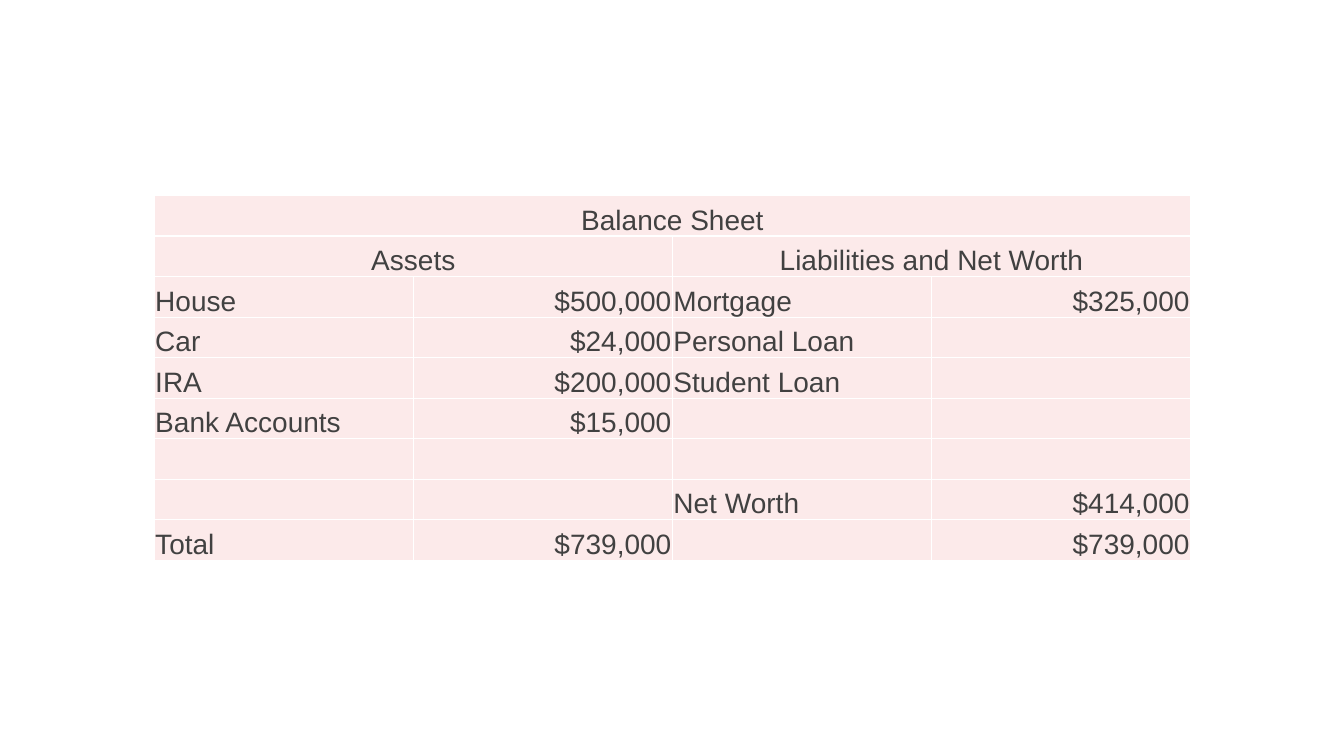
from dataclasses import dataclass

from lxml import etree
from pptx import Presentation
from pptx.dml.color import RGBColor
from pptx.enum import text
from pptx.oxml import ns
from pptx.util import Inches, Pt

# Content: headings as (row, first column, last column, wording)
HEADINGS = [
    (0, 0, 3, "Balance Sheet"),
    (1, 0, 1, "Assets"),
    (1, 2, 3, "Liabilities and Net Worth"),
]
ENTRIES = [
    ("House", "$500,000", "Mortgage", "$325,000"),
    ("Car", "$24,000", "Personal Loan", ""),
    ("IRA", "$200,000", "Student Loan", ""),
    ("Bank Accounts", "$15,000", "", ""),
    ("", "", "", ""),
    ("", "", "Net Worth", "$414,000"),
    ("Total", "$739,000", "", "$739,000"),
]
FIRST_ENTRY_ROW = 2
COLUMN_ALIGNMENTS = [text.PP_ALIGN.LEFT, text.PP_ALIGN.RIGHT] * 2


@dataclass(frozen=True)
class Theme:
    font: str = "Arial"
    size: int = 20
    ink: str = "414141"
    fill: str = "FCEAEA"
    border: str = "FFFFFF"
    border_width: int = 1


THEME = Theme()


def style_cell(cell):
    """Set fill, margins, anchor and borders of one cell."""
    cell.fill.solid()
    cell.fill.fore_color.rgb = RGBColor.from_string(THEME.fill)
    cell.margin_left = cell.margin_right = cell.margin_top = Inches(0.01)
    cell.margin_bottom = 0
    cell.vertical_anchor = text.MSO_ANCHOR.BOTTOM
    properties = cell._tc.get_or_add_tcPr()
    for position, side in enumerate(("lnL", "lnR", "lnT", "lnB")):
        line = etree.Element(ns.qn(f"a:{side}"), w=str(Pt(THEME.border_width)))
        solid = etree.SubElement(line, ns.qn("a:solidFill"))
        etree.SubElement(solid, ns.qn("a:srgbClr"), val=THEME.border)
        properties.insert(position, line)


def write_cell(cell, wording, alignment):
    paragraph = cell.text_frame.paragraphs[0]
    paragraph.alignment = alignment
    run = paragraph.add_run()
    run.text = wording
    run.font.name = THEME.font
    run.font.size = Pt(THEME.size)
    run.font.color.rgb = RGBColor.from_string(THEME.ink)


def add_balance_sheet(slide):
    row_count = FIRST_ENTRY_ROW + len(ENTRIES)
    column_count = len(COLUMN_ALIGNMENTS)
    table = slide.shapes.add_table(
        row_count, column_count,
        Inches(1.53), Inches(1.94), Inches(10.28), Inches(3.62),
    ).table
    table.first_row = table.horz_banding = False
    for cell in table.iter_cells():
        style_cell(cell)

    # Merged headings
    for row, first, last, wording in HEADINGS:
        heading = table.cell(row, first)
        heading.merge(table.cell(row, last))
        write_cell(heading, wording, text.PP_ALIGN.CENTER)

    # Entries
    for row, entry in enumerate(ENTRIES, FIRST_ENTRY_ROW):
        for column, wording in enumerate(entry):
            if wording:
                write_cell(table.cell(row, column), wording, COLUMN_ALIGNMENTS[column])


def main():
    presentation = Presentation()
    presentation.slide_width = Inches(13.33)
    presentation.slide_height = Inches(7.5)
    slide = presentation.slides.add_slide(presentation.slide_layouts[6])
    add_balance_sheet(slide)
    presentation.save("out.pptx")


if __name__ == "__main__":
    main()
